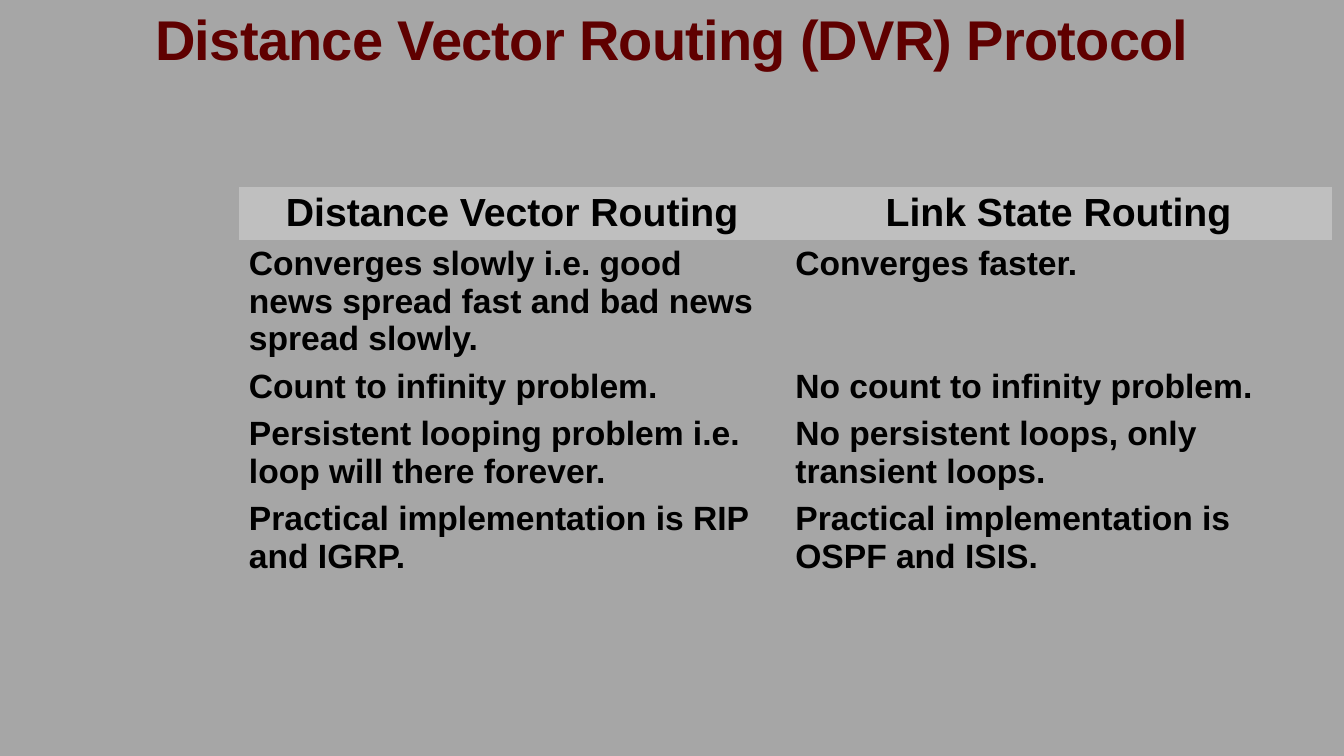
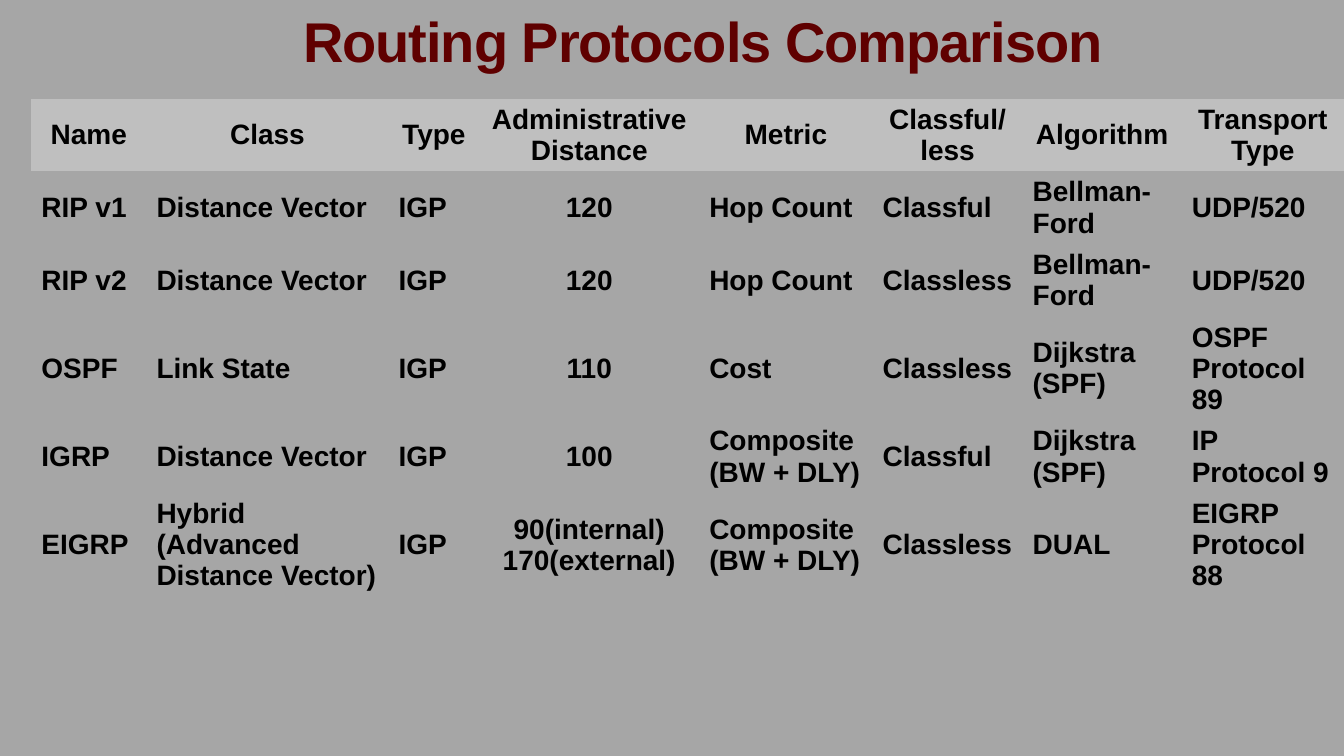
"""Build two slides that compare routing protocols in tables."""
from dataclasses import dataclass

import pptx
import pptx.dml.color
import pptx.enum.text
import pptx.oxml.ns
import pptx.util

Cm = pptx.util.Cm
Align = pptx.enum.text.PP_ALIGN
Anchor = pptx.enum.text.MSO_ANCHOR


@dataclass(frozen=True)
class Theme:
    font: str = "Arial"
    background: str = "A6A6A6"
    header_fill: str = "BFBFBF"
    title_color: str = "5F0000"
    text_color: str = "000000"
    title_size: int = 40
    plain_table_style: str = "{2D5ABB26-0587-4C30-8999-92F81FD0307C}"


class Deck:
    def __init__(self, theme):
        self.theme = theme
        self.slide = None
        self.presentation = pptx.Presentation()
        self.presentation.slide_width = Cm(33.87)
        self.presentation.slide_height = Cm(19.05)
        self.fill(self.presentation.slide_master.background, theme.background)

    def fill(self, target, color):
        target.fill.solid()
        target.fill.fore_color.rgb = pptx.dml.color.RGBColor.from_string(color)

    def style(self, paragraph, size, color, alignment):
        paragraph.alignment = alignment
        font = paragraph.font
        font.name, font.size, font.bold = self.theme.font, pptx.util.Pt(size), True
        font.color.rgb = pptx.dml.color.RGBColor.from_string(color)

    def add_slide(self):
        self.slide = self.presentation.slides.add_slide(self.presentation.slide_layouts[5])

    def add_title(self, text, box, margins, tracking, line_spacing=1.0):
        title = self.slide.shapes.title
        title.left, title.top, title.width, title.height = map(Cm, box)
        frame = title.text_frame
        frame.text = text
        frame.word_wrap = True
        frame.auto_size = pptx.enum.text.MSO_AUTO_SIZE.NONE
        frame.vertical_anchor = Anchor.BOTTOM
        frame.margin_left = frame.margin_right = Cm(margins[0])
        frame.margin_top = frame.margin_bottom = Cm(margins[1])
        paragraph = frame.paragraphs[0]
        paragraph.line_spacing = line_spacing
        self.style(paragraph, self.theme.title_size, self.theme.title_color, Align.CENTER)
        properties = paragraph._p.get_or_add_pPr().find(pptx.oxml.ns.qn("a:defRPr"))
        properties.set("spc", str(tracking))

    def add_table(self, rows, left, top, widths, header_size, body_size,
                  anchor=Anchor.TOP, centered_columns=()):
        row_height = Cm(1.04)
        table = self.slide.shapes.add_table(
            len(rows), len(widths), Cm(left), Cm(top),
            Cm(sum(widths)), row_height * len(rows)).table
        table.horz_banding = False
        style_id = table._tbl.tblPr.find(pptx.oxml.ns.qn("a:tableStyleId"))
        style_id.text = self.theme.plain_table_style
        for column, width in zip(table.columns, widths):
            column.width = Cm(width)
        for row_index, texts in enumerate(rows):
            table.rows[row_index].height = row_height
            is_header = row_index == 0
            for column_index, text in enumerate(texts):
                cell = table.cell(row_index, column_index)
                cell.text = text
                cell.vertical_anchor = anchor
                if is_header:
                    self.fill(cell, self.theme.header_fill)
                else:
                    cell.fill.background()
                centered = is_header or column_index in centered_columns
                self.style(cell.text_frame.paragraphs[0],
                           header_size if is_header else body_size,
                           self.theme.text_color,
                           Align.CENTER if centered else Align.LEFT)


ROUTING_TYPES = [
    ("Distance Vector Routing", "Link State Routing"),
    ("Converges slowly i.e. good news spread fast and bad news spread slowly.",
     "Converges faster."),
    ("Count to infinity problem.", "No count to infinity problem."),
    ("Persistent looping problem i.e. loop will there forever.",
     "No persistent loops, only transient loops."),
    ("Practical implementation is RIP and IGRP.",
     "Practical implementation is OSPF and ISIS."),
]

PROTOCOLS = [
    ("Name", "Class", "Type", "Administrative Distance", "Metric",
     "Classful/ less", "Algorithm", "Transport Type"),
    ("RIP v1", "Distance Vector", "IGP", "120", "Hop Count",
     "Classful", "Bellman-Ford", "UDP/520"),
    ("RIP v2", "Distance Vector", "IGP", "120", "Hop Count",
     "Classless", "Bellman-Ford", "UDP/520"),
    ("OSPF", "Link State", "IGP", "110", "Cost",
     "Classless", "Dijkstra (SPF)", "OSPF Protocol 89"),
    ("IGRP", "Distance Vector", "IGP", "100", "Composite (BW + DLY)",
     "Classful", "Dijkstra (SPF)", "IP Protocol 9"),
    ("EIGRP", "Hybrid (Advanced Distance Vector)", "IGP",
     "90(internal) 170(external)", "Composite (BW + DLY)",
     "Classless", "DUAL", "EIGRP Protocol 88"),
]


def main():
    deck = Deck(Theme())

    deck.add_slide()
    deck.add_title("Distance Vector Routing (DVR) Protocol",
                   (0, -0.79, 33.87, 2.74), (0.25, 0.13), -50, 0.85)
    deck.add_table(ROUTING_TYPES, 6.02, 4.7, [13.77] * 2, 28, 24)

    deck.add_slide()
    deck.add_title("Routing Protocols Comparison",
                   (4.42, 0, 26.59, 2.03), (0.33, 0.18), -70)
    deck.add_table(PROTOCOLS, 0.79, 2.49,
                   [2.9, 6.1, 2.29, 5.54, 4.37, 3.78, 4.01, 4.09], 20, 20,
                   anchor=Anchor.MIDDLE, centered_columns={3})

    deck.presentation.save("out.pptx")


if __name__ == "__main__":
    main()
